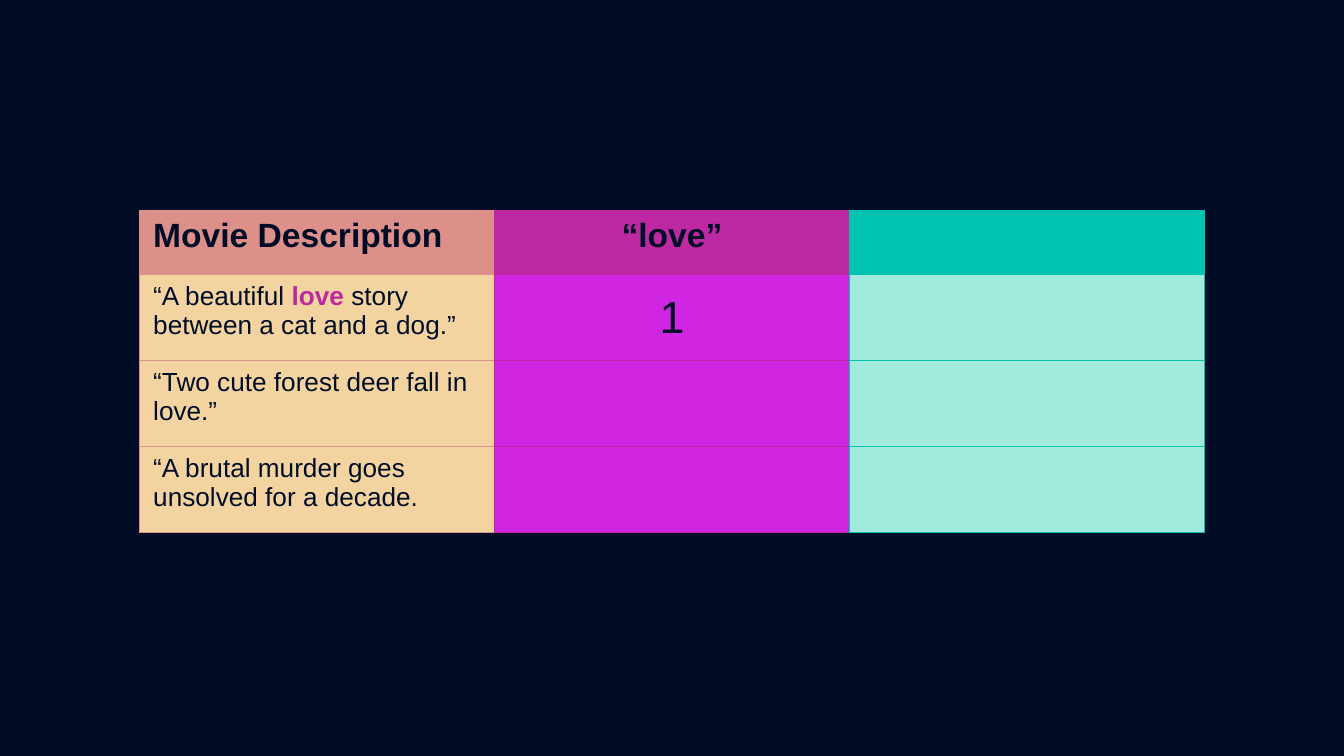
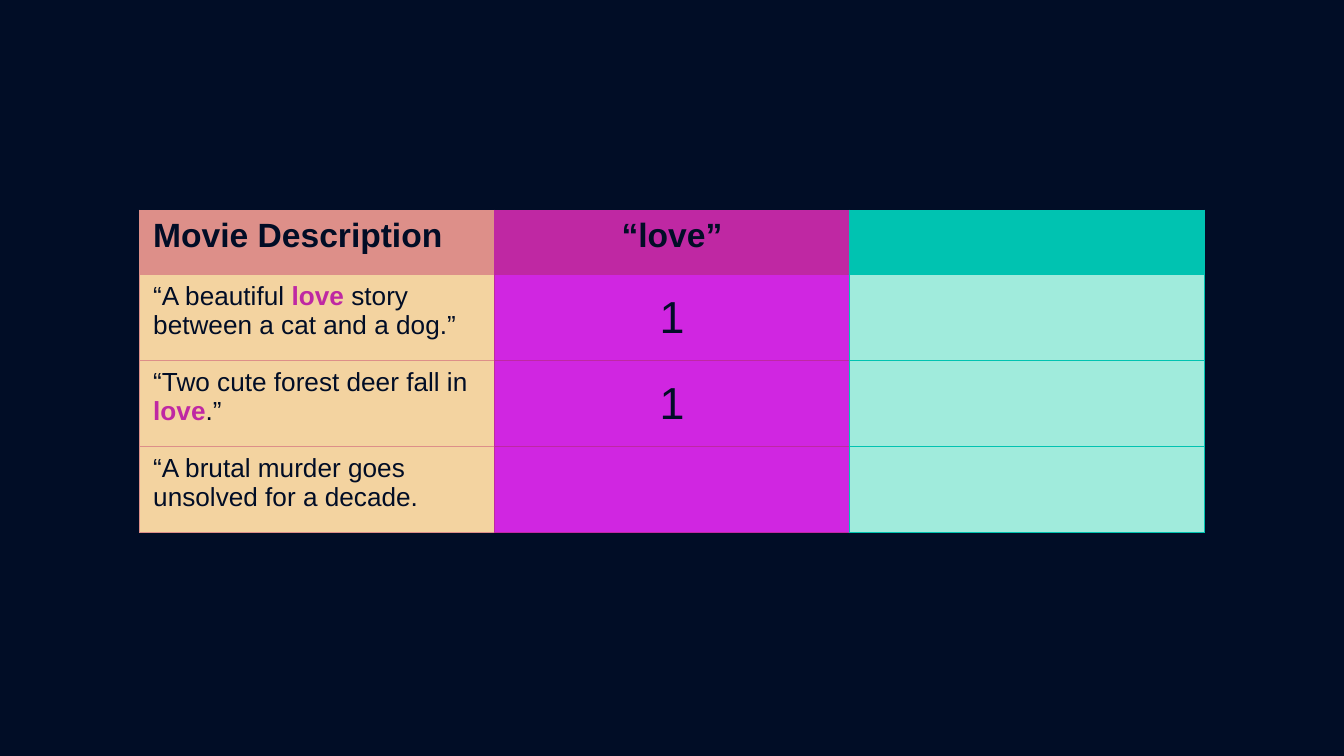
from pptx import Presentation
from pptx.dml.color import RGBColor
from pptx.enum.text import MSO_ANCHOR, PP_ALIGN
from pptx.oxml.ns import qn
from pptx.util import Pt
from lxml import etree

LEFT, CENTER = PP_ALIGN.LEFT, PP_ALIGN.CENTER
TOP, MIDDLE = MSO_ANCHOR.TOP, MSO_ANCHOR.MIDDLE

NAVY = RGBColor(0x01, 0x0D, 0x26)
ROSE = RGBColor(0xDD, 0x8F, 0x89)
SAND = RGBColor(0xF3, 0xD3, 0xA0)
MAGENTA = RGBColor(0xBF, 0x28, 0xA3)
VIOLET = RGBColor(0xD0, 0x26, 0xE1)
TEAL = RGBColor(0x00, 0xC3, 0xB1)
MINT = RGBColor(0xA0, 0xEB, 0xDC)

HEAD_FILLS = [ROSE, MAGENTA, TEAL]
BODY_FILLS = [SAND, VIOLET, MINT]
HEADER = ["Movie Description", "“love”", ""]
HEAD_SIZE, TEXT_SIZE, COUNT_SIZE = 18, 14, 24

EMU_PER_PX = 4572  # 200 px to the inch
SLIDE_W, SLIDE_H = 2000, 1125
TABLE_X, TABLE_Y = 208, 313
COL_W, HEAD_H, ROW_H = 528, 96, 128


def px(n):
    return n * EMU_PER_PX


class Deck:
    font = "Arial"
    ink = NAVY
    accent = MAGENTA
    border = Pt(0.75)

    def __init__(self):
        self.prs = Presentation()
        self.prs.slide_width = px(SLIDE_W)
        self.prs.slide_height = px(SLIDE_H)
        self.s = None

    def slide(self):
        self.s = self.prs.slides.add_slide(self.prs.slide_layouts[6])
        fill = self.s.background.fill
        fill.solid()
        fill.fore_color.rgb = NAVY

    def borders(self, cell, color, right):
        tcPr = cell._tc.get_or_add_tcPr()
        for side, rgb in zip("LRTB", (color, right, color, color)):
            ln = etree.SubElement(tcPr, qn(f"a:ln{side}"), w=str(self.border))
            solid = etree.SubElement(ln, qn("a:solidFill"))
            etree.SubElement(solid, qn("a:srgbClr"), val=str(rgb))

    def text(self, cell, text, size, bold, align, anchor):
        """Write text in a cell; words between asterisks are highlighted."""
        cell.vertical_anchor = anchor
        p = cell.text_frame.paragraphs[0]
        p.alignment = align
        for i, part in enumerate(text.split("*")):
            marked = i % 2 == 1
            r = p.add_run()
            r.text = part
            r.font.name = self.font
            r.font.size = Pt(size)
            r.font.bold = bold or marked
            r.font.color.rgb = self.accent if marked else self.ink

    def table(self, rows):
        n_rows, n_cols = len(rows), len(HEADER)
        height = HEAD_H + (n_rows - 1) * ROW_H
        table = self.s.shapes.add_table(
            n_rows, n_cols, px(TABLE_X), px(TABLE_Y),
            px(n_cols * COL_W), px(height)).table
        table.horz_banding = False
        for i, values in enumerate(rows):
            head = i == 0
            table.rows[i].height = px(HEAD_H if head else ROW_H)
            for j, value in enumerate(values):
                cell = table.cell(i, j)
                # The right edge takes the colour of the next column.
                self.borders(cell, HEAD_FILLS[j],
                             HEAD_FILLS[min(j + 1, n_cols - 1)])
                cell.fill.solid()
                cell.fill.fore_color.rgb = (HEAD_FILLS if head else BODY_FILLS)[j]
                if value:
                    count = j > 0 and not head
                    size = HEAD_SIZE if head else COUNT_SIZE if count else TEXT_SIZE
                    self.text(cell, value, size, head,
                              CENTER if j else LEFT, MIDDLE if count else TOP)


def love_counts(deck, deer_text, deer_count):
    deck.slide()
    deck.table([
        HEADER,
        ["“A beautiful *love* story between a cat and a dog.”", "1", ""],
        [deer_text, deer_count, ""],
        ["“A brutal murder goes unsolved for a decade.", "", ""],
    ])


def main():
    deck = Deck()
    love_counts(deck, "“Two cute forest deer fall in love.”", "")
    love_counts(deck, "“Two cute forest deer fall in *love*.”", "1")
    deck.prs.save("out.pptx")


if __name__ == "__main__":
    main()
